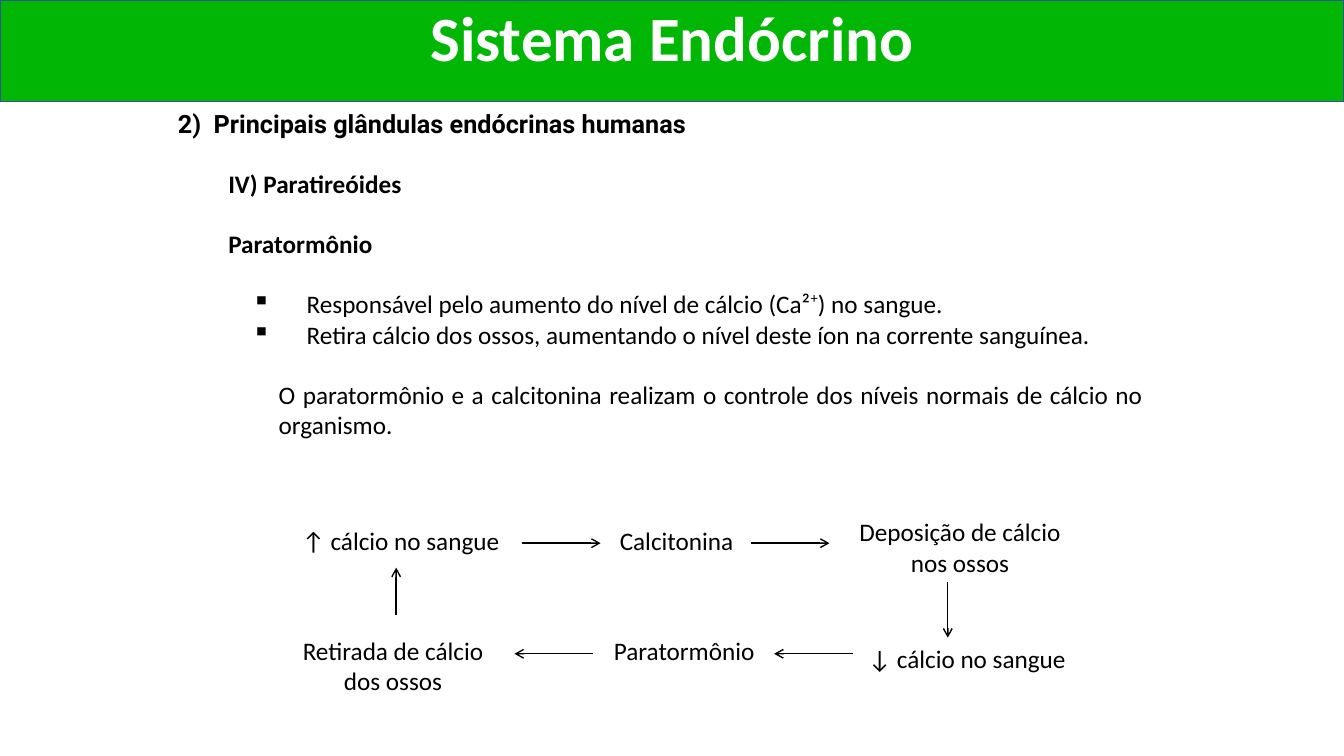
from pptx import Presentation
from pptx.dml.color import RGBColor
from pptx.enum.shapes import MSO_CONNECTOR, MSO_SHAPE
from pptx.enum.text import MSO_ANCHOR, MSO_AUTO_SIZE, PP_ALIGN
from pptx.oxml.ns import qn
from pptx.util import Pt
from lxml.etree import SubElement

COLOURS = {"band": "02B606", "band_line": "325491", "text": "000000", "title": "FFFFFF"}


def colour(name):
    return RGBColor.from_string(COLOURS[name])


def style(para, align, size=18, name="text", bold=False, face="Calibri"):
    para.alignment = align
    para.font.size = Pt(size)
    para.font.name = face
    para.font.bold = bold
    para.font.color.rgb = colour(name)


deck = Presentation()
deck.slide_width, deck.slide_height = Pt(960), Pt(540)
page = deck.slides.add_slide(deck.slide_layouts[5])

# Green band
band = page.shapes.add_shape(MSO_SHAPE.RECTANGLE, 0, 0, Pt(960), Pt(72.5))
band.shadow.inherit = False
band.fill.solid()
band.fill.fore_color.rgb = colour("band")
band.line.color.rgb = colour("band_line")
band.line.width = Pt(1)

# Title, in front of the band
title = page.shapes.title
title.left, title.top, title.width, title.height = Pt(120), Pt(1.5), Pt(720), Pt(89)
page.shapes._spTree.append(title._element)
title.text_frame.text = "Sistema Endócrino"
title.text_frame.auto_size = MSO_AUTO_SIZE.NONE
title.text_frame.vertical_anchor = MSO_ANCHOR.TOP
title.text_frame.paragraphs[0].line_spacing = 0.9
style(title.text_frame.paragraphs[0], PP_ALIGN.CENTER, 45, "title", True)

# Body: spans, left margin, space before, bold, font, bullet
body = [
    (["2)  Principais glândulas endócrinas humanas"], 0, 0, True, "Roboto", False),
    (["IV) Paratireóides"], 36, 21.5, True, "Calibri", False),
    (["Paratormônio"], 36, 21.5, True, "Calibri", False),
    (["Responsável pelo aumento do nível de cálcio (Ca²", "+", ") no sangue."],
     92, 21.5, False, "Calibri", True),
    (["Retira cálcio dos ossos, aumentando o nível deste íon na corrente sanguínea."],
     92, 0, False, "Calibri", True),
    (["O paratormônio e a calcitonina realizam o controle dos níveis normais "
      "de cálcio no organismo."], 72, 21.5, False, "Calibri", False),
]
frame = page.shapes.add_textbox(Pt(120), Pt(73.5), Pt(703.5), Pt(269)).text_frame
frame.word_wrap = True
for index, (spans, margin, before, bold, face, bullet) in enumerate(body):
    para = frame.add_paragraph() if index else frame.paragraphs[0]
    for words in spans:
        span = para.add_run()
        span.text = words
        if words == "+":
            span.font._element.set("baseline", "40000")
    if before:
        para.space_before = Pt(before)
    props = para._p.get_or_add_pPr()
    props.set("marL", str(Pt(margin)))
    props.set("indent", str(Pt(-39 if bullet else 0)))
    if bullet:
        SubElement(props, qn("a:buChar")).set("char", "▪")
    style(para, PP_ALIGN.JUSTIFY, bold=bold, face=face)

# Steps of the calcium cycle: text, left, top, width, height
steps = [
    ("↑ cálcio no sangue", 204.5, 371.5, 163.5, 29),
    ("Calcitonina", 418.5, 371.5, 129.5, 29),
    ("Deposição de cálcio nos ossos", 604, 365.5, 163.5, 51),
    ("↓ cálcio no sangue", 609, 456, 163.5, 29),
    ("Paratormônio", 424, 450, 129.5, 29),
    ("Retirada de cálcio dos ossos", 199, 450, 163.5, 51),
]
for words, *place in steps:
    box = page.shapes.add_textbox(*[Pt(value) for value in place])
    box.text_frame.word_wrap = True
    box.text_frame.text = words
    style(box.text_frame.paragraphs[0], PP_ALIGN.CENTER)

# Arrows around the cycle: start x, start y, end x, end y
arrows = [
    (373, 388, 429, 388),
    (536.5, 388, 592.5, 388),
    (677, 416, 677, 455.5),
    (609, 467, 553, 467),
    (423.5, 467, 367.5, 467),
    (283, 439, 283, 405.5),
]
for ends in arrows:
    arrow = page.shapes.add_connector(MSO_CONNECTOR.STRAIGHT, *[Pt(value) for value in ends])
    arrow.line.color.rgb = colour("text")
    arrow.line.width = Pt(1)
    SubElement(arrow.line._get_or_add_ln(), qn("a:tailEnd")).set("type", "arrow")
    SubElement(arrow._element.spPr, qn("a:effectLst"))

deck.save("out.pptx")
